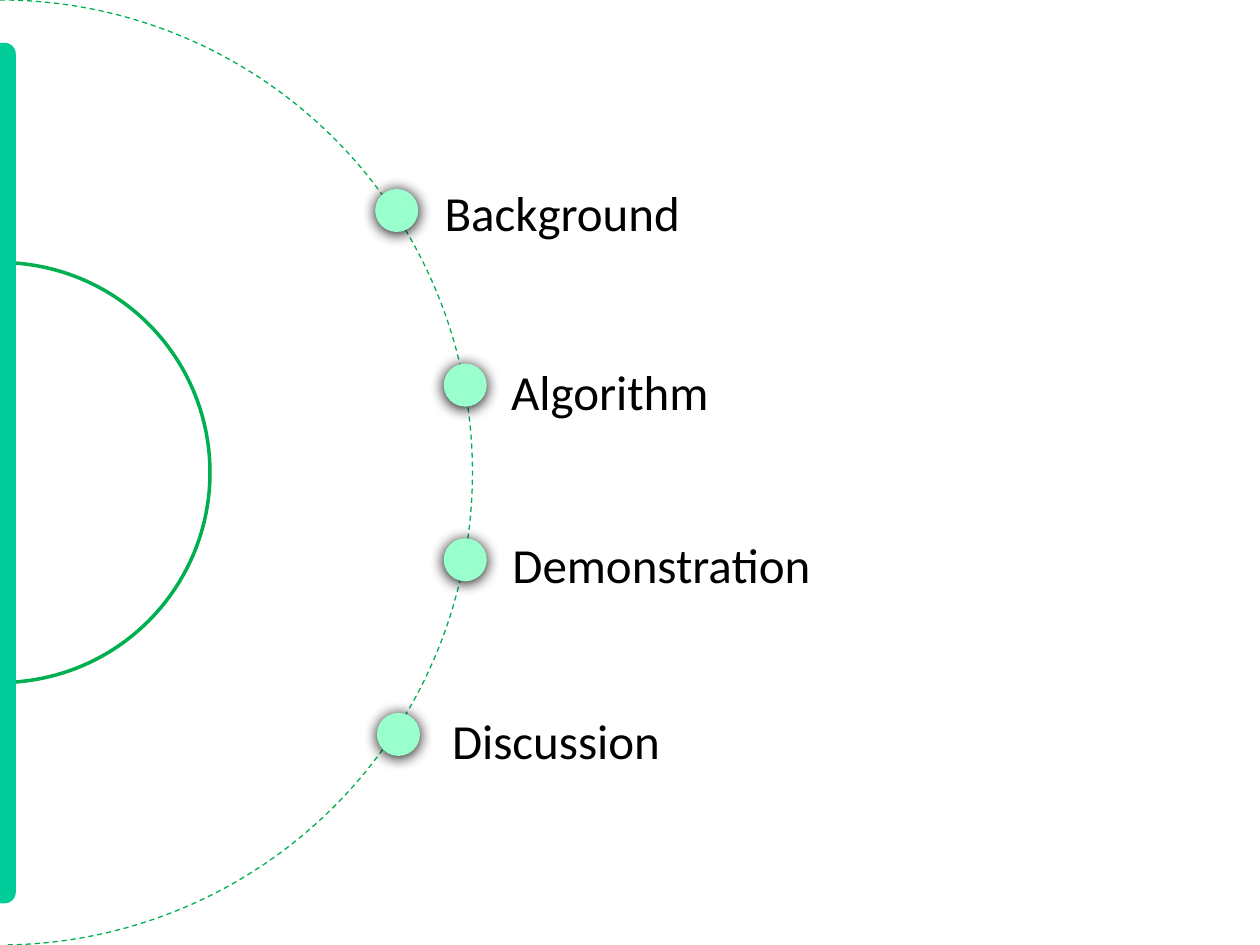
"""Build an agenda slide with four topics set along a half circle."""
from lxml.etree import SubElement
from pptx import Presentation
from pptx.dml.color import RGBColor
from pptx.enum.dml import MSO_LINE
from pptx.enum.shapes import MSO_SHAPE
from pptx.enum.text import MSO_AUTO_SIZE
from pptx.oxml.ns import qn
from pptx.util import Pt

COLORS = {"arc": "00B050", "dot": "99FFCD", "bar": "00CC99", "paper": "FFFFFF", "text": "000000"}
SLIDE_WIDTH, SLIDE_HEIGHT = 720, 540
TOPICS = [
    {"name": "Background", "dot_left": 214.4, "text_left": 247, "text_top": 100.8, "width": 302.4},
    {"name": "Algorithm", "dot_left": 253.6, "text_left": 285, "text_top": 203, "width": 302.4},
    {"name": "Demonstration", "dot_left": 253.6, "text_left": 285.8, "text_top": 301.7, "width": 302.4},
    {"name": "Discussion", "dot_left": 215.4, "text_left": 251.3, "text_top": 402.5, "width": 271.4},
]
TEXT_HEIGHT = 41.2
DOT_SIZE, DOT_TOP, DOT_STEP = 24.6, 108, 99.8
BAR_WIDTH, BAR_HEIGHT, BAR_TOPS = 18, 252, (264.2, 24.5)


def color(name):
    return RGBColor.from_string(COLORS[name])


def add_filled(shapes, kind, left, top, width, height, fill):
    shape = shapes.add_shape(kind, Pt(left), Pt(top), Pt(width), Pt(height))
    shape.shadow.inherit = False
    shape.fill.solid()
    shape.fill.fore_color.rgb = color(fill)
    shape.line.fill.background()
    return shape


def add_half_circle(slide, radius, end_angle, line_width):
    middle = SLIDE_HEIGHT / 2
    arc = add_filled(slide.shapes, MSO_SHAPE.ARC, -radius, middle - radius, 2 * radius, 2 * radius, "paper")
    arc.adjustments[0] = 162
    arc.adjustments[1] = end_angle
    arc.line.color.rgb = color("arc")
    arc.line.width = Pt(line_width)
    return arc


def add_label(slide, topic):
    box = slide.shapes.add_textbox(
        Pt(topic["text_left"]), Pt(topic["text_top"]), Pt(topic["width"]), Pt(TEXT_HEIGHT))
    frame = box.text_frame
    frame.word_wrap = True
    frame.auto_size = MSO_AUTO_SIZE.SHAPE_TO_FIT_TEXT
    run = frame.paragraphs[0].add_run()
    run.text = topic["name"]
    run.font.name = "Calibri"
    run.font.size = Pt(28)
    run.font.color.rgb = color("text")


def add_dot(slide, left, top):
    dot = add_filled(slide.shapes, MSO_SHAPE.OVAL, left, top, DOT_SIZE, DOT_SIZE, "dot")
    effects = dot._element.spPr.find(qn("a:effectLst"))
    shadow = SubElement(effects, qn("a:outerShdw"), blurRad=str(Pt(8.5)), dist=str(Pt(1)),
                        dir="5400000", algn="ctr", rotWithShape="0")
    SubElement(shadow, qn("a:srgbClr"), val="000000")


def main():
    presentation = Presentation()
    presentation.slide_width, presentation.slide_height = Pt(SLIDE_WIDTH), Pt(SLIDE_HEIGHT)
    slide = presentation.slides.add_slide(presentation.slide_layouts[6])

    outer = add_half_circle(slide, 270, 53.71, 0.75)
    outer.line.dash_style = MSO_LINE.DASH
    for topic in TOPICS:
        add_label(slide, topic)
    for index, topic in enumerate(TOPICS):
        add_dot(slide, topic["dot_left"], DOT_TOP + index * DOT_STEP)
    add_half_circle(slide, 120, 53.6, 2)

    group = slide.shapes.add_group_shape()
    for top in BAR_TOPS:
        bar = add_filled(group.shapes, MSO_SHAPE.ROUNDED_RECTANGLE,
                         -BAR_WIDTH / 2, top, BAR_WIDTH, BAR_HEIGHT, "bar")
        bar.adjustments[0] = 0.35
        bar.rotation = 180
    presentation.save("out.pptx")


if __name__ == "__main__":
    main()
